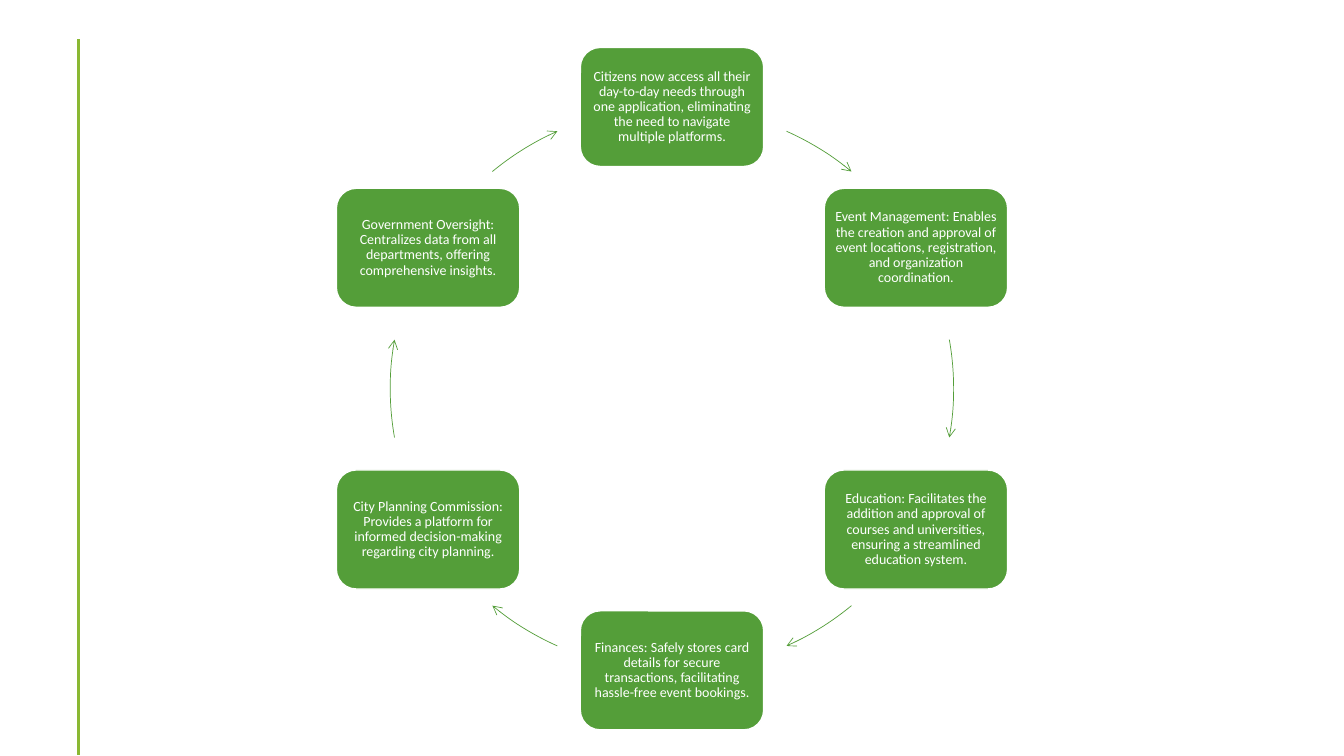
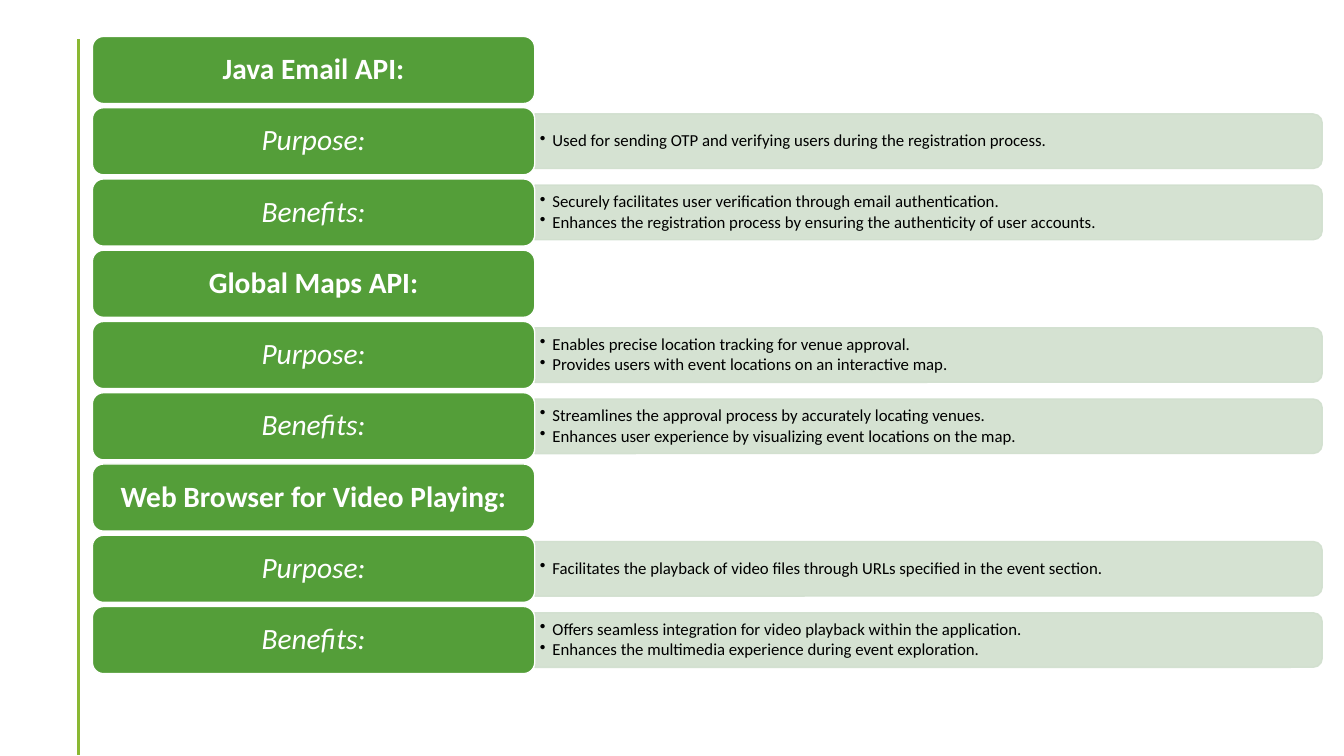
import math
from lxml import etree
from pptx import Presentation
from pptx.dml.color import RGBColor
from pptx.enum import shapes, text
from pptx.oxml.ns import qn
from pptx.util import Pt

GREEN = RGBColor(0x54, 0x9E, 0x39)
LIME = RGBColor(0x8A, 0xB8, 0x33)
PALE = RGBColor(0xD1, 0xDF, 0xCE)
WHITE = RGBColor(0xFF, 0xFF, 0xFF)
BLACK = RGBColor(0, 0, 0)
FONT = "Calibri"
SHAPE = shapes.MSO_SHAPE


class Deck:
    """Holds the style and the current slide."""

    def __init__(self):
        self.prs = Presentation()
        self.prs.slide_width, self.prs.slide_height = Pt(960), Pt(540)
        self.s = None

    def new_slide(self):
        self.s = self.prs.slides.add_slide(self.prs.slide_layouts[6])
        # Vertical rule at the left, on every slide
        rule = self.s.shapes.add_connector(
            shapes.MSO_CONNECTOR.STRAIGHT, Pt(56), Pt(28), Pt(56), Pt(539))
        rule.line.color.rgb, rule.line.width = LIME, Pt(2)
        etree.SubElement(rule._element.spPr, qn("a:effectLst"))

    def shape(self, kind, x, y, w, h, fill, line, width=1):
        sp = self.s.shapes.add_shape(kind, Pt(x), Pt(y), Pt(w), Pt(h))
        sp.shadow.inherit = False
        if fill is None:
            sp.fill.background()
        else:
            sp.fill.solid()
            sp.fill.fore_color.rgb = fill
        sp.line.color.rgb, sp.line.width = line, Pt(width)
        return sp

    def set_text(self, sp, lines, inset, color, size, align, bullet=False, **fmt):
        tf = sp.text_frame
        frame = dict(word_wrap=True, vertical_anchor=text.MSO_ANCHOR.MIDDLE,
                     margin_left=Pt(inset[0]), margin_right=Pt(inset[0]),
                     margin_top=Pt(inset[1]), margin_bottom=Pt(inset[1]))
        for name, value in frame.items():
            setattr(tf, name, value)
        for i, line in enumerate(lines):
            p = tf.paragraphs[0] if i == 0 else tf.add_paragraph()
            if bullet:
                pPr = p._p.get_or_add_pPr()
                pPr.set("marL", str(Pt(9)))
                pPr.set("indent", str(-Pt(9)))
                etree.SubElement(pPr, qn("a:buChar"), char="•")
                p.space_after = Pt(1.8)
            p.alignment, p.line_spacing = align, 0.9
            r = p.add_run()
            r.text = line
            r.font.color.rgb = color
            for name, value in dict(fmt, name=FONT, size=Pt(size)).items():
                setattr(r.font, name, value)

    def box(self, x, y, w, h, label, size, inset, **fmt):
        sp = self.shape(SHAPE.ROUNDED_RECTANGLE, x, y, w, h, GREEN, WHITE)
        self.set_text(sp, [label], inset, WHITE, size, text.PP_ALIGN.CENTER, **fmt)

    def arc_arrow(self, cx, cy, radius, start, end):
        sp = self.shape(SHAPE.ARC, cx - radius, cy - radius,
                        2 * radius, 2 * radius, None, GREEN, 0.5)
        # Adjustments count 100000 units, angles 60000 units per degree
        for i, angle in enumerate((start, end)):
            sp.adjustments[i] = angle % 360 * 0.6
        ln = sp._element.spPr.find(qn("a:ln"))
        etree.SubElement(ln, qn("a:tailEnd"), type="arrow")

    def bullet_bar(self, x, y, w, h, lines):
        # Rounded top corners, turned to face right
        sp = self.shape(SHAPE.ROUND_2_SAME_RECTANGLE, x + (w - h) / 2,
                        y + (h - w) / 2, h, w, PALE, PALE)
        sp.rotation = 90
        for clr in sp._element.spPr.iter(qn("a:srgbClr")):
            etree.SubElement(clr, qn("a:alpha"), val="90000")
        tb = self.s.shapes.add_textbox(Pt(x), Pt(y), Pt(w), Pt(h))
        self.set_text(tb, lines, (3.6, 2), BLACK, 12, text.PP_ALIGN.LEFT, bullet=True)


SERVICES = [
    "Citizens now access all their day-to-day needs through one application, "
    "eliminating the need to navigate multiple platforms.",
    "Event Management: Enables the creation and approval of event locations, "
    "registration, and organization coordination.",
    "Education: Facilitates the addition and approval of courses and universities, "
    "ensuring a streamlined education system.",
    "Finances: Safely stores card details for secure transactions, "
    "facilitating hassle-free event bookings.",
    "City Planning Commission: Provides a platform for informed decision-making "
    "regarding city planning.",
    "Government Oversight: Centralizes data from all departments, "
    "offering comprehensive insights.",
]

# Each tool: name, purpose, benefits
TOOLS = [
    ("Java Email API:",
     ["Used for sending OTP and verifying users during the registration process."],
     ["Securely facilitates user verification through email authentication.",
      "Enhances the registration process by ensuring the authenticity of user accounts."]),
    ("Global Maps API:",
     ["Enables precise location tracking for venue approval.",
      "Provides users with event locations on an interactive map."],
     ["Streamlines the approval process by accurately locating venues.",
      "Enhances user experience by visualizing event locations on the map."]),
    ("Web Browser for Video Playing:",
     ["Facilitates the playback of video files through URLs specified in the event section."],
     ["Offers seamless integration for video playback within the application.",
      "Enhances the multimedia experience during event exploration."]),
]


def service_cycle(deck):
    deck.new_slide()
    cx, cy, radius, w, h = 480, 277.6, 201.2, 131, 85
    # Arrow spans between neighbouring boxes, clockwise from the top
    spans = [(-66, -50.4), (-10, 10), (50.4, 66),
             (114, 129.6), (170, 190), (230.4, 246)]
    for i, (label, span) in enumerate(zip(SERVICES, spans)):
        angle = math.radians(60 * i - 90)
        x, y = cx + radius * math.cos(angle), cy + radius * math.sin(angle)
        deck.box(x - w / 2, y - h / 2, w, h, label, 10, (3, 3))
        deck.arc_arrow(cx, cy, radius, *span)


def tool_list(deck):
    deck.new_slide()
    left, top, pitch, w, h = 66, 26, 50.9, 316, 48
    bar_w, bar_h = 562.5, 39
    rows = []
    for name, purpose, benefits in TOOLS:
        rows += [(name, []), ("Purpose:", purpose), ("Benefits:", benefits)]
    for i, (label, lines) in enumerate(rows):
        y = top + i * pitch
        if lines:
            deck.bullet_bar(left + w, y + (h - bar_h) / 2, bar_w, bar_h, lines)
        deck.box(left, y, w, h, label, 21, (6.3, 3),
                 bold=not lines, italic=bool(lines))


def main():
    deck = Deck()
    service_cycle(deck)
    tool_list(deck)
    deck.prs.save("out.pptx")


if __name__ == "__main__":
    main()
